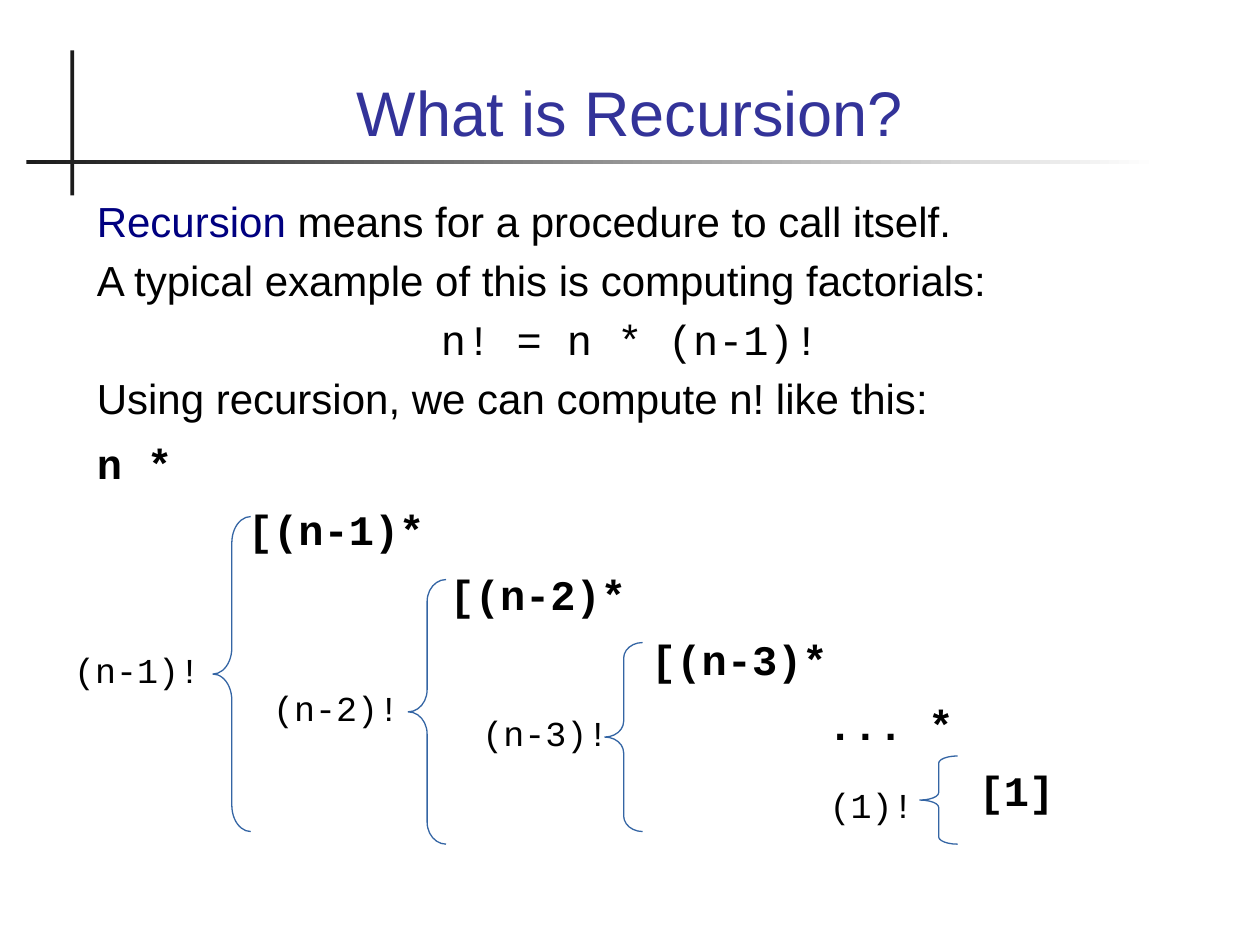
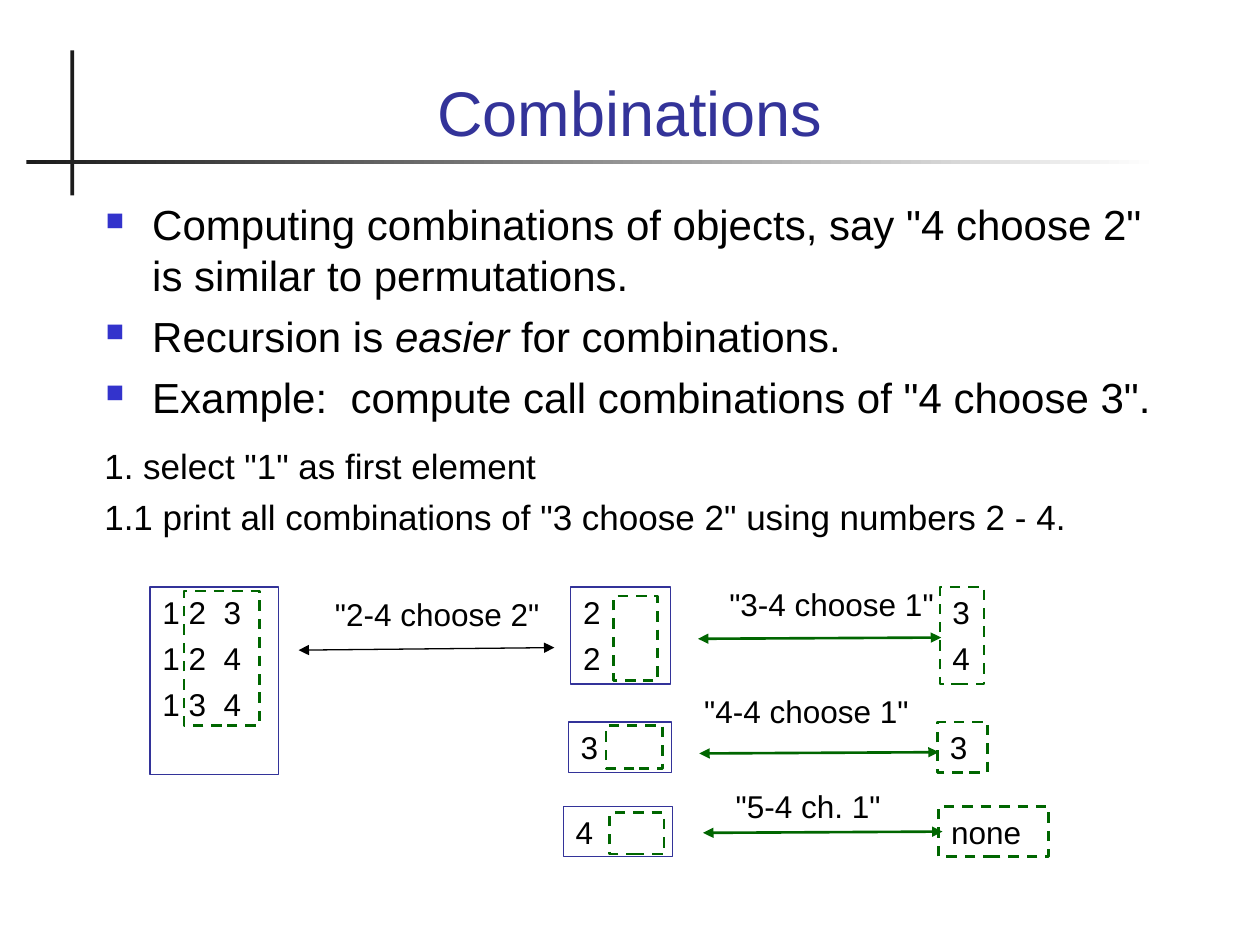
import pptx
import pptx.util
import pptx.dml.color
import pptx.enum.dml
import pptx.enum.shapes
import pptx.enum.text
import pptx.oxml
import pptx.oxml.ns

Inches, Pt = pptx.util.Inches, pptx.util.Pt
RGB = pptx.dml.color.RGBColor.from_string
SHAPE = pptx.enum.shapes.MSO_SHAPE
ALIGN = pptx.enum.text.PP_ALIGN
NS = pptx.oxml.ns.nsdecls("a")
COLORS = {"title": "333399", "text": "000000", "term": "000080", "bar": "1C1C1C",
          "fade": "FFFFFF", "bullet": "3333CC", "brace": "3465A4",
          "frame": "333399", "choice": "006600"}
MONO = "Courier New"


def box(s, left, top, width, height, line=None, dash=False):
    """Add a text box, or an unfilled rectangle when a line colour is given."""
    at = [Inches(v) for v in (left, top, width, height)]
    if line is None:
        sp = s.shapes.add_textbox(*at)
    else:
        sp = s.shapes.add_shape(SHAPE.RECTANGLE, *at)
        sp.shadow.inherit = False
        sp.fill.background()
        sp.line.color.rgb = RGB(COLORS[line])
        sp.line.width = Pt(1.5 if dash else 0.75)
        if dash:
            sp.line.dash_style = pptx.enum.dml.MSO_LINE.DASH
    sp.text_frame.word_wrap = True
    sp.text_frame.vertical_anchor = pptx.enum.text.MSO_ANCHOR.TOP
    return sp


def write(sp, text, size=24, font="Arial", color="text", bold=False, italic=False,
          align=ALIGN.LEFT, before=0, indent=0, bullet=False, join=False):
    """Write a new paragraph, or with join a further run of the last one."""
    tf = sp.text_frame
    p = tf.paragraphs[-1]
    if p.runs and not join:
        p = tf.add_paragraph()
        p.space_before = Pt(before)
    if not join:
        p.alignment = align
        pPr = p._p.get_or_add_pPr()
        pPr.set("marL", str(Inches(indent)))
        pPr.set("indent", str(-Inches(indent) if bullet else 0))
        if bullet:
            for xml in (f'<a:buClr {NS}><a:srgbClr val="{COLORS["bullet"]}"/></a:buClr>',
                        f'<a:buSzPct {NS} val="60000"/>',
                        f'<a:buChar {NS} char="■"/>'):
                pPr.append(pptx.oxml.parse_xml(xml))
    r = p.add_run()
    r.text = text
    r.font.size, r.font.name = Pt(size), font
    r.font.bold, r.font.italic = bold, italic
    r.font.color.rgb = RGB(COLORS[color])


prs = pptx.Presentation()
prs.slide_width, prs.slide_height = Inches(10), Inches(7.5)

# Shared bars and titles
slides = []
for title in ("What is Recursion?", "Combinations"):
    s = prs.slides.add_slide(prs.slide_layouts[6])
    slides.append(s)
    for left, top, width, height in ((0.56, 0.4, 0.03, 1.15), (0.21, 1.27, 8.99, 0.03)):
        bar = box(s, left, top, width, height, line="bar")
        bar.line.fill.background()
        if width < height:
            bar.fill.solid()
            bar.fill.fore_color.rgb = RGB(COLORS["bar"])
        else:
            bar.fill.gradient()
            bar.fill.gradient_angle = 0
            for stop, name in zip(bar.fill.gradient_stops, ("bar", "fade")):
                stop.color.rgb = RGB(COLORS[name])
    sp = box(s, 0.67, 0.28, 8.66, 0.95)
    sp.text_frame.vertical_anchor = pptx.enum.text.MSO_ANCHOR.BOTTOM
    write(sp, title, size=36, color="title", align=ALIGN.CENTER)

# Recursion: explanation
s = slides[0]
body = box(s, 0.67, 1.5, 8.66, 5.5)
write(body, "Recursion", color="term")
write(body, " means for a procedure to call itself.", join=True)
write(body, "A typical example of this is computing factorials:", before=5)
write(body, "n! = n * (n-1)!", font=MONO, align=ALIGN.CENTER, before=5)
write(body, "Using recursion, we can compute n! like this:", before=5)

# Recursion: staircase of factors, indented by character columns
COLUMN = 0.2
for column, factor in ((0, "n *"), (6, "[(n-1)*"), (14, "[(n-2)*"),
                       (22, "[(n-3)*"), (29, "... *"), (35, "[1]")):
    write(body, factor, font=MONO, bold=True, before=8.5, indent=column * COLUMN)

# Recursion: braces
BRACE_WIDTH = 0.3
for left, top, height in ((1.69, 4.1, 2.5), (3.24, 4.6, 2.1), (4.8, 5.1, 1.5), (7.3, 6, 0.7)):
    sp = s.shapes.add_shape(SHAPE.LEFT_BRACE, Inches(left), Inches(top),
                            Inches(BRACE_WIDTH), Inches(height))
    sp.shadow.inherit = False
    sp.fill.background()
    sp.line.color.rgb = RGB(COLORS["brace"])
    sp.line.width = Pt(0.75)
    sp.adjustments[0] = height / 12 / BRACE_WIDTH

# Recursion: brace labels
for left, top, width, label, align in ((0.49, 5.1, 1.2, "(n-1)!", ALIGN.LEFT),
                                       (2.07, 5.4, 1.2, "(n-2)!", ALIGN.LEFT),
                                       (3.73, 5.6, 1.2, "(n-3)!", ALIGN.LEFT),
                                       (6.35, 6.17, 1, "(1)!", ALIGN.RIGHT)):
    write(box(s, left, top, width, 0.5), label, size=20, font=MONO, align=align)

# Combinations: bullets
s = slides[1]
body = box(s, 0.74, 1.53, 8.66, 1.88)
bullet = dict(bullet=True, indent=0.37, before=6)
write(body, 'Computing combinations of objects, say "4 choose 2" is similar to permutations.',
      **bullet)
write(body, "Recursion is ", **bullet)
write(body, "easier", italic=True, join=True)
write(body, " for combinations.", join=True)
write(body, 'Example:  compute call combinations of "4 choose 3".', **bullet)

# Combinations: steps
steps = box(s, 0.73, 3.48, 8.66, 0.9)
for step in ('1. select "1" as first element',
             '1.1 print all combinations of "3 choose 2" using numbers 2 - 4.'):
    write(steps, step, size=20, before=5)

# Combinations: chosen numbers and what remains to choose
for left, top, width, height, color, rows in (
        (1.19, 4.66, 1.02, 1.49, "frame", ["1 2  3", "1 2  4", "1 3  4"]),
        (4.53, 4.66, 0.79, 0.77, "frame", ["2", "2"]),
        (4.51, 5.73, 0.82, 0.4, "frame", ["3"]),
        (4.47, 6.4, 0.87, 0.4, "frame", ["4"]),
        (7.46, 4.66, 0.35, 0.77, "choice", ["3", "4"]),
        (7.44, 5.73, 0.4, 0.4, "choice", ["3"]),
        (7.45, 6.4, 0.87, 0.4, "choice", ["none"]),
        (1.46, 4.69, 0.6, 1.07, "choice", []),
        (4.87, 4.73, 0.35, 0.67, "choice", []),
        (4.81, 5.76, 0.45, 0.34, "choice", []),
        (4.84, 6.45, 0.43, 0.33, "choice", [])):
    sp = box(s, left, top, width, height, line=color, dash=color == "choice")
    for row in rows:
        write(sp, row, size=18, before=4.5)

# Combinations: arrow labels
for left, top, width, label in ((2.56, 4.67, 1.88, '"2-4 choose 2"'),
                                (5.69, 4.59, 2.1, '"3-4 choose 1"'),
                                (5.49, 5.44, 1.95, '"4-4 choose 1"'),
                                (5.74, 6.2, 1.62, '"5-4 ch. 1"')):
    write(box(s, left, top, width, 0.4), label, size=18)

# Combinations: double-headed arrows
for x1, y1, x2, y2, color, weight in ((2.37, 5.16, 4.4, 5.14, "text", 0.75),
                                      (5.54, 5.07, 7.47, 5.06, "choice", 1.5),
                                      (5.55, 5.98, 7.45, 5.97, "choice", 1.5),
                                      (5.58, 6.61, 7.48, 6.6, "choice", 1.5)):
    arrow = s.shapes.add_connector(pptx.enum.shapes.MSO_CONNECTOR.STRAIGHT,
                                   Inches(x1), Inches(y1), Inches(x2), Inches(y2))
    arrow.line.color.rgb = RGB(COLORS[color])
    arrow.line.width = Pt(weight)
    for end in ("headEnd", "tailEnd"):
        arrow.line._get_or_add_ln().append(
            pptx.oxml.parse_xml(f'<a:{end} {NS} type="triangle"/>'))
    arrow._element.spPr.append(pptx.oxml.parse_xml(f"<a:effectLst {NS}/>"))

prs.save("out.pptx")
